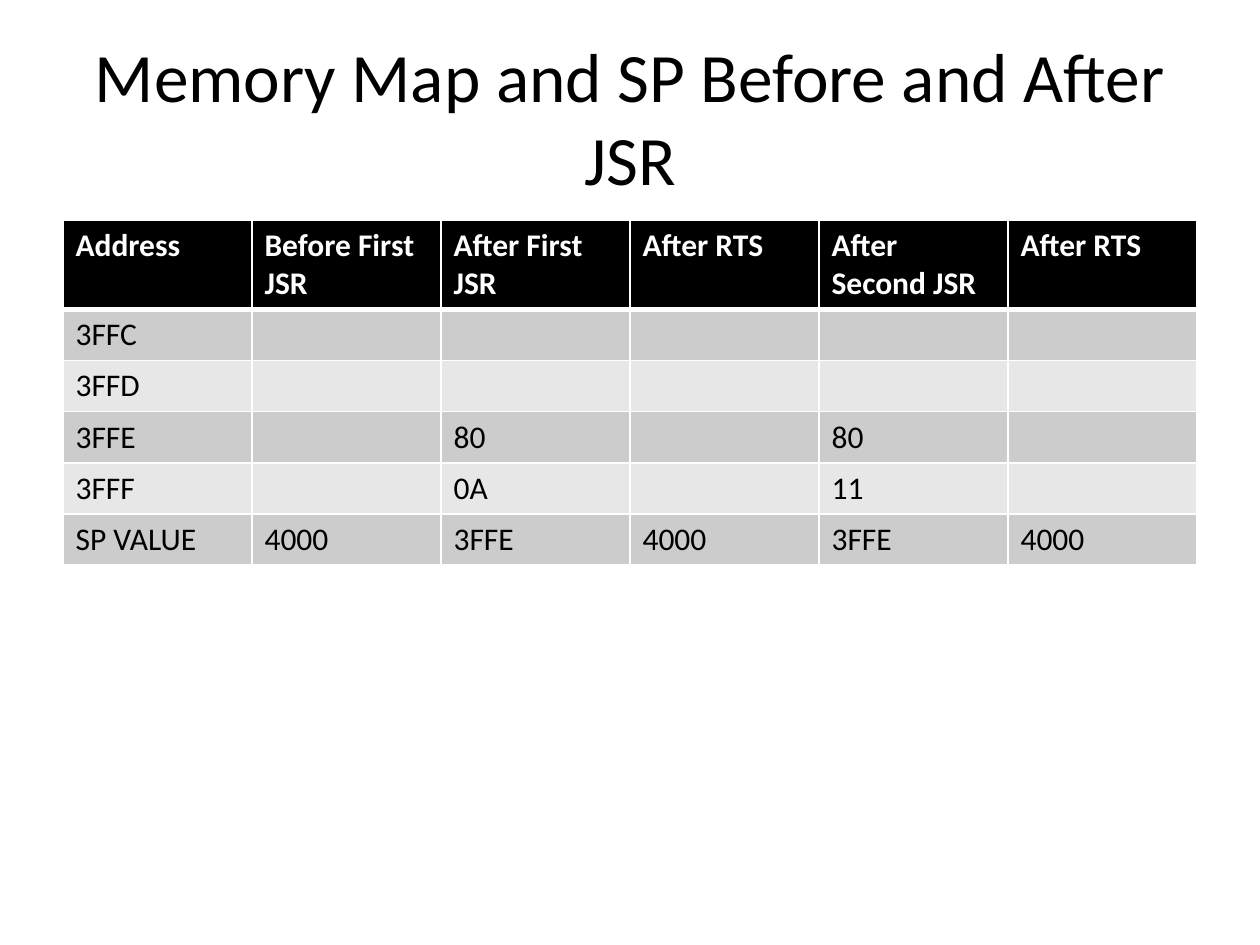
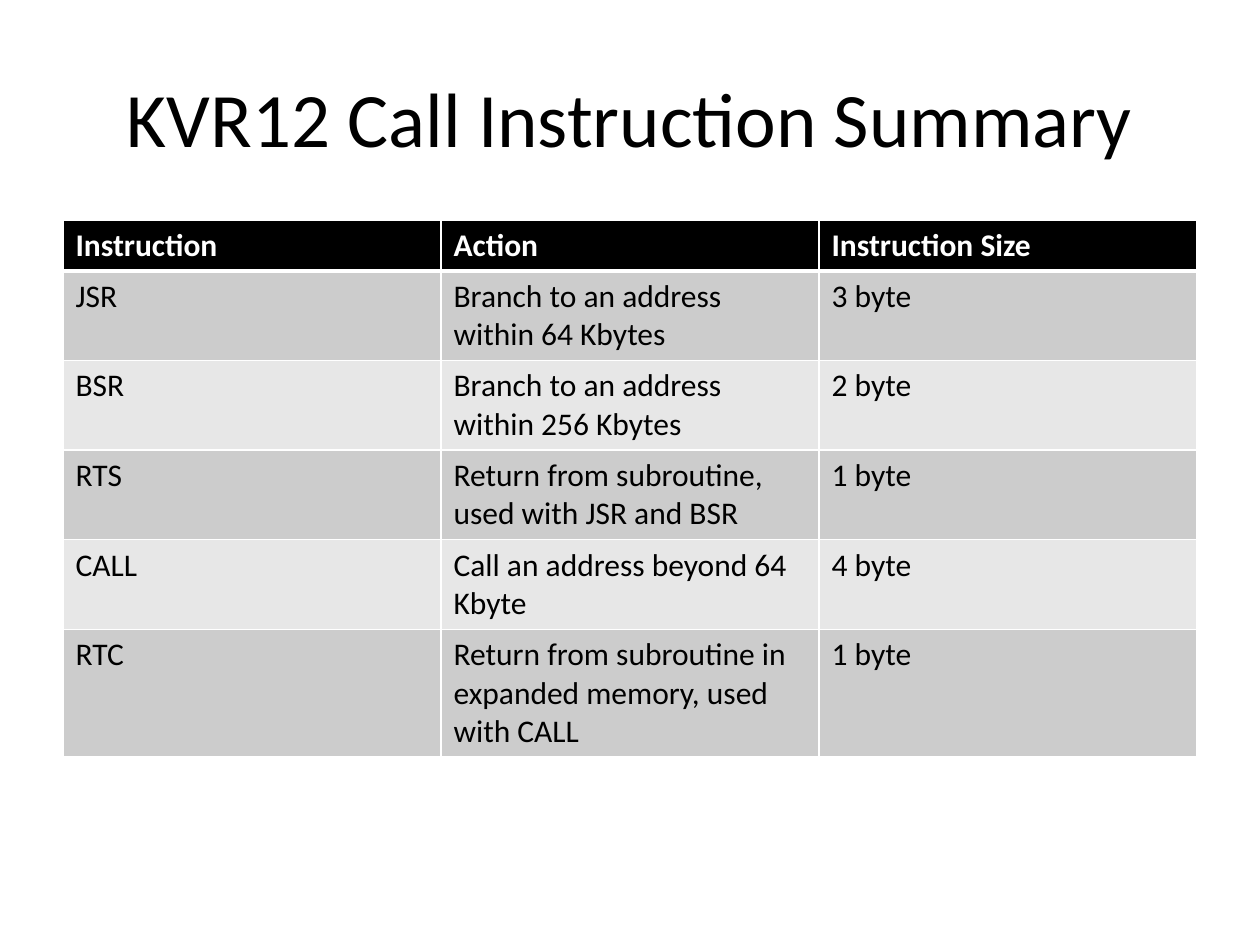
import lxml.etree
import pptx
import pptx.dml.color
import pptx.enum.text
import pptx.oxml.ns
import pptx.util

PX = 914400 / 126
FONT = "Calibri"
BLACK, WHITE = "000000", "FFFFFF"
BANDS = ("CCCCCC", "E7E7E7")
TITLE_BOX = (63, 38, 1134, 157)
TABLE_BOX = (63, 220, 1134)
ROW_HEIGHT = 51
TITLE_ONLY = 5

MEMORY_MAP = [
    ["Address", "Before First JSR", "After First JSR", "After RTS", "After Second JSR", "After RTS"],
    ["3FFC", "", "", "", "", ""],
    ["3FFD", "", "", "", "", ""],
    ["3FFE", "", "80", "", "80", ""],
    ["3FFF", "", "0A", "", "11", ""],
    ["SP VALUE", "4000", "3FFE", "4000", "3FFE", "4000"],
]
CALL_INSTRUCTIONS = [
    ["Instruction", "Action", "Instruction Size"],
    ["JSR", "Branch to an address within 64 Kbytes", "3 byte"],
    ["BSR", "Branch to an address within 256 Kbytes", "2 byte"],
    ["RTS", "Return from subroutine, used with JSR and BSR", "1 byte"],
    ["CALL", "Call an address beyond 64 Kbyte", "4 byte"],
    ["RTC", "Return from subroutine in expanded memory, used with CALL", "1 byte"],
]


def px(length):
    return pptx.util.Emu(round(length * PX))


def color(value):
    return pptx.dml.color.RGBColor.from_string(value)


def format_runs(text_frame, size, ink, bold=False):
    for paragraph in text_frame.paragraphs:
        for run in paragraph.runs:
            run.font.name = FONT
            run.font.size = pptx.util.Pt(size)
            run.font.bold = bold
            run.font.color.rgb = color(ink)


def set_borders(cell, widths):
    """Draw white borders, with widths in points for left, right, top, bottom."""
    qn = pptx.oxml.ns.qn
    properties = cell._tc.get_or_add_tcPr()
    for index, (side, width) in enumerate(zip("LRTB", widths)):
        line = lxml.etree.Element(qn(f"a:ln{side}"), w=str(pptx.util.Pt(width)))
        fill = lxml.etree.SubElement(line, qn("a:solidFill"))
        lxml.etree.SubElement(fill, qn("a:srgbClr"), val=WHITE)
        properties.insert(index, line)


def add_title(slide, text, size, box):
    title = slide.shapes.title
    title.left, title.top, title.width, title.height = map(px, box)
    frame = title.text_frame
    frame.text = text
    frame.word_wrap = True
    frame.auto_size = pptx.enum.text.MSO_AUTO_SIZE.NONE
    frame.vertical_anchor = pptx.enum.text.MSO_ANCHOR.MIDDLE
    frame.paragraphs[0].alignment = pptx.enum.text.PP_ALIGN.CENTER
    format_runs(frame, size, BLACK)


def add_banded_table(slide, rows, box):
    left, top, width = box
    columns = len(rows[0])
    table = slide.shapes.add_table(
        len(rows), columns, px(left), px(top), px(width), px(ROW_HEIGHT * len(rows))
    ).table
    for column in table.columns:
        column.width = px(width / columns)
    for r, texts in enumerate(rows):
        table.rows[r].height = px(ROW_HEIGHT)
        is_header = r == 0
        for c, text in enumerate(texts):
            cell = table.cell(r, c)
            cell.text = text
            format_runs(cell.text_frame, 18, WHITE if is_header else BLACK, is_header)
            cell.fill.solid()
            cell.fill.fore_color.rgb = color(BLACK if is_header else BANDS[(r - 1) % 2])
            set_borders(cell, (1, 1, 3 if r == 1 else 1, 3 if is_header else 1))


def add_table_slide(presentation, title, title_size, rows):
    slide = presentation.slides.add_slide(presentation.slide_layouts[TITLE_ONLY])
    add_title(slide, title, title_size, TITLE_BOX)
    add_banded_table(slide, rows, TABLE_BOX)


def main():
    presentation = pptx.Presentation()
    presentation.slide_width, presentation.slide_height = px(1260), px(945)
    add_table_slide(presentation, "Memory Map and SP Before and After JSR", 39.6, MEMORY_MAP)
    add_table_slide(presentation, "KVR12 Call Instruction Summary", 44, CALL_INSTRUCTIONS)
    presentation.save("out.pptx")


if __name__ == "__main__":
    main()
